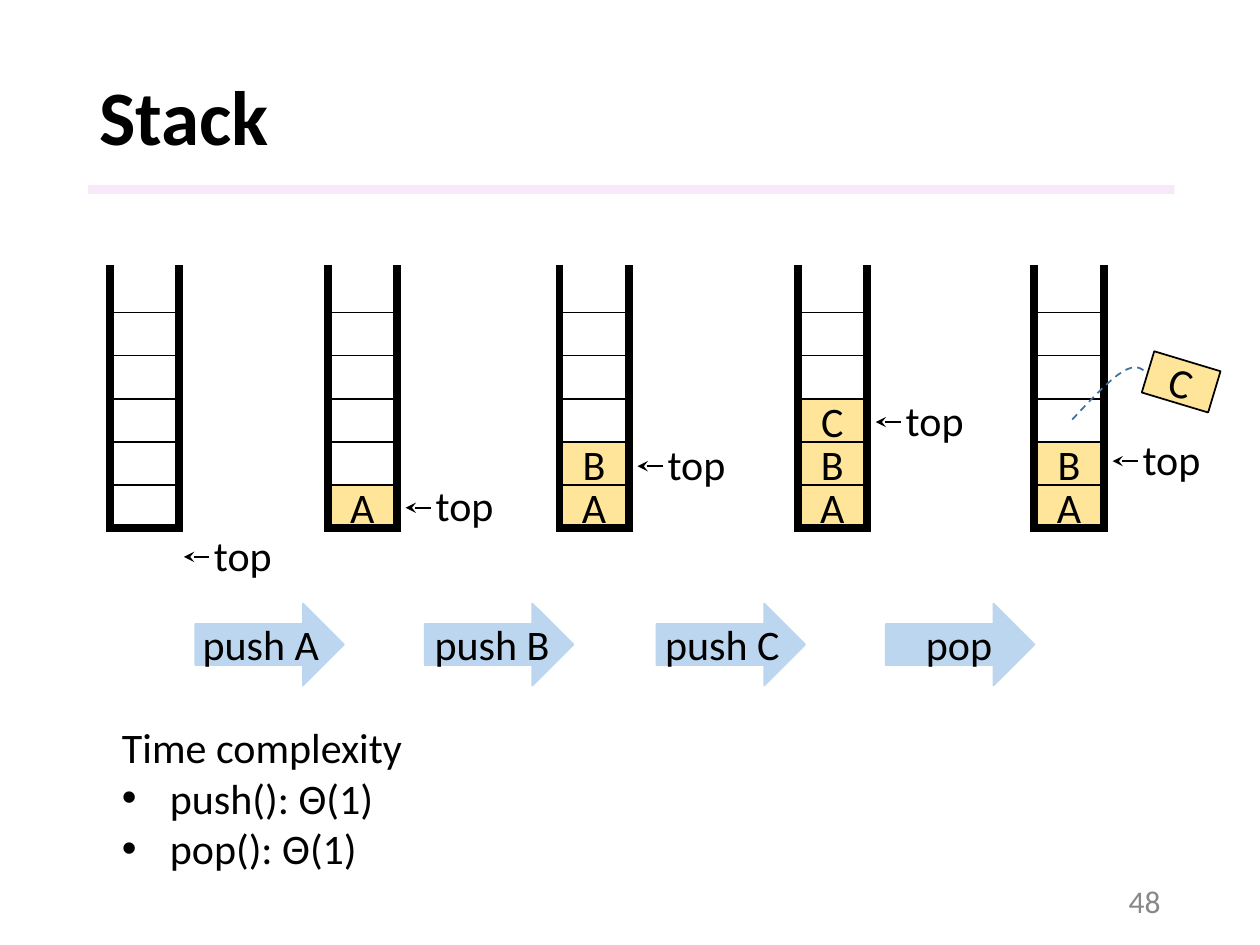
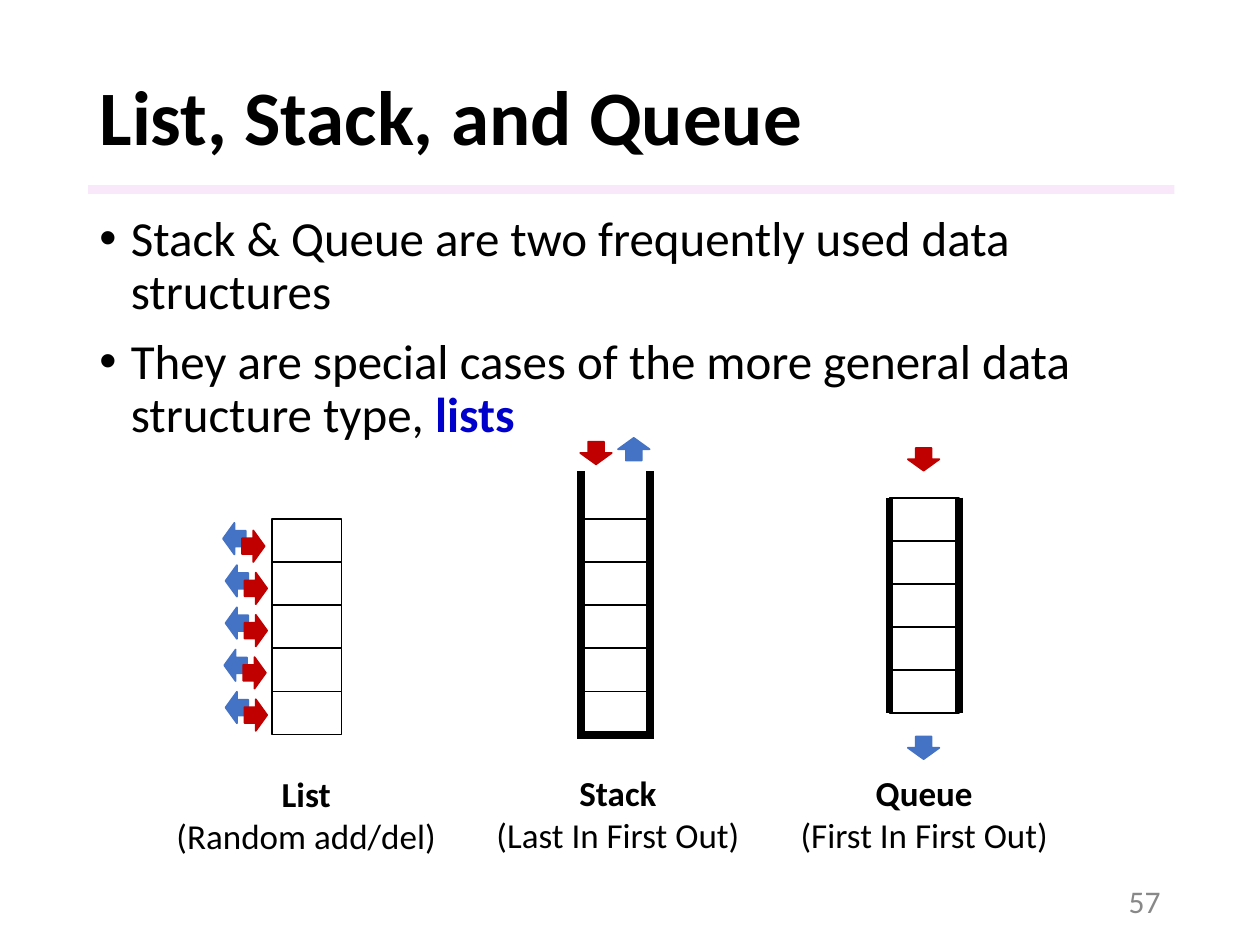
from lxml.etree import SubElement
from pptx import Presentation
from pptx.dml.color import RGBColor
from pptx.enum.dml import MSO_LINE
from pptx.enum.shapes import MSO_CONNECTOR, MSO_SHAPE
from pptx.enum.text import MSO_ANCHOR, PP_ALIGN
from pptx.oxml.ns import qn
from pptx.util import Inches, Pt

BLACK, WHITE, GRAY = "000000", "FFFFFF", "888888"
BAND, GOLD, SKY = "F3D2F4", "FEE599", "BBD6EE"
BLUE, RED, NAVY, STEEL = "4472C4", "C00000", "0000CC", "42719B"

BASE = {"name": "Calibri", "size": Pt(24), "bold": False}
TITLE = {"size": Pt(44), "bold": True}
BODY = {"size": Pt(28)}
NOTE = {"size": Pt(20)}
PAGE = {"size": Pt(18)}
BOLD = {"bold": True}

CELL_W, ROWS, GRID_H = 0.55, 5, 1.71
CELL_H = GRID_H / ROWS
WALL_H = 2.09
WALL_PT = 4.5


def hue(code):
    return RGBColor.from_string(code)


def inches(*nums):
    return [Inches(n) for n in nums]


def apply(target, *formats):
    for values in formats:
        for key, value in values.items():
            setattr(target, key, value)


def write(par, words, *formats, color=BLACK):
    run = par.add_run()
    run.text = words
    apply(run.font, BASE, *formats)
    run.font.color.rgb = hue(color)


def bullet(par, indent):
    props = par._p.get_or_add_pPr()
    props.set("marL", str(Inches(indent)))
    props.set("indent", str(-Inches(indent)))
    SubElement(props, qn("a:buFont")).set("typeface", "Arial")
    SubElement(props, qn("a:buChar")).set("char", "•")


def text(slide, box, lines, *formats, color=BLACK, wrap=False, **par_format):
    """Add a text box with one paragraph a line and return its frame."""
    frame = slide.shapes.add_textbox(*inches(*box)).text_frame
    frame.word_wrap = wrap
    for i, line in enumerate(lines):
        par = frame.add_paragraph() if i else frame.paragraphs[0]
        apply(par, par_format)
        write(par, line, *formats, color=color)
    return frame


def stroke(line, color=BLACK, width=1):
    line.color.rgb = hue(color)
    line.width = Pt(width)


def shape(slide, kind, box, fill, line=None, turn=0):
    item = slide.shapes.add_shape(kind, *inches(*box))
    item.shadow.inherit = False
    item.fill.solid()
    item.fill.fore_color.rgb = hue(fill)
    if line:
        stroke(item.line, line)
    else:
        item.line.fill.background()
    item.rotation = turn
    return item


def cell(slide, left, top, mark="", turn=0):
    item = shape(slide, MSO_SHAPE.RECTANGLE, (left, top, CELL_W, CELL_H),
                 GOLD if mark else WHITE, BLACK, turn)
    if mark:
        frame = item.text_frame
        frame.vertical_anchor = MSO_ANCHOR.MIDDLE
        frame.paragraphs[0].alignment = PP_ALIGN.CENTER
        write(frame.paragraphs[0], mark)


def cells(slide, left, top, marks=""):
    """Draw a column of cells, filled with marks from the bottom up."""
    for row, mark in enumerate(reversed(marks.ljust(ROWS))):
        cell(slide, left, top + row * CELL_H, mark.strip())


def path(slide, points, color, width):
    """Draw an open outline without fill."""
    start, *rest = [inches(*point) for point in points]
    pen = slide.shapes.build_freeform(*start)
    pen.add_line_segments(rest, close=False)
    item = pen.convert_to_shape()
    item.shadow.inherit = False
    item.fill.background()
    stroke(item.line, color, width)
    return item


def stack(slide, left, top, marks=""):
    cells(slide, left, top + WALL_H - GRID_H, marks)
    right, base = left + CELL_W, top + WALL_H
    wall = path(slide, [(left, top), (left, base), (right, base), (right, top)],
                BLACK, WALL_PT)
    SubElement(wall.line._get_or_add_ln(), qn("a:miter")).set("lim", "800000")


def link(slide, start, end, width=1):
    item = slide.shapes.add_connector(MSO_CONNECTOR.STRAIGHT,
                                      *inches(*start, *end))
    stroke(item.line, BLACK, width)
    SubElement(item._element.spPr, qn("a:effectLst"))
    return item


def pointer(slide, x, y):
    """Mark the top of a stack with an arrow to the left."""
    arrow = link(slide, (x + 0.2, y), (x, y))
    tail = SubElement(arrow.line._get_or_add_ln(), qn("a:tailEnd"))
    tail.set("type", "stealth")
    text(slide, (x + 0.14, y - 0.27, 0.66, 0.5), ["top"])


def arrow(slide, left, top, color, turn=0, size=(0.18, 0.25)):
    shape(slide, MSO_SHAPE.RIGHT_ARROW, (left, top, *size), color, color, turn)


def caption(slide, box, name, rule):
    frame = text(slide, box, [name, rule], NOTE, alignment=PP_ALIGN.CENTER)
    frame.paragraphs[0].runs[0].font.bold = True


def curve(slide, start, *bends):
    """Draw a dashed line through cubic bends, each of three points."""
    points, steps = [start], 8
    for bend in bends:
        a, b, c, d = points[-1], *bend
        for step in range(1, steps + 1):
            t = step / steps
            u = 1 - t
            points.append([u**3 * p + 3 * u * u * t * q + 3 * u * t * t * r
                           + t**3 * s for p, q, r, s in zip(a, b, c, d)])
    path(slide, points, STEEL, 1).line.dash_style = MSO_LINE.DASH


def page(deck, name, number):
    """Add a slide with its title, band and page number."""
    slide = deck.slides.add_slide(deck.slide_layouts[5])
    band = shape(slide, MSO_SHAPE.RECTANGLE, (0.7, 1.47, 8.62, 0.07), BAND)
    tint = band._element.spPr.find(".//" + qn("a:srgbClr"))
    SubElement(tint, qn("a:alpha")).set("val", "50000")
    title = slide.shapes.title
    title.left, title.top, title.width, title.height = inches(
        0.69, 0.4, 8.62, 1.11)
    title.text_frame.vertical_anchor = MSO_ANCHOR.MIDDLE
    par = title.text_frame.paragraphs[0]
    apply(par, {"alignment": PP_ALIGN.LEFT, "line_spacing": 0.9})
    write(par, name, TITLE)
    foot = text(slide, (7.06, 6.95, 2.25, 0.4), [number], PAGE, color=GRAY,
                wrap=True, alignment=PP_ALIGN.RIGHT)
    foot.vertical_anchor = MSO_ANCHOR.MIDDLE
    return slide


def stack_page(deck):
    slide = page(deck, "Stack", "48")
    steps = [(1.55, 1.51, 1.13, "push A"), (3.37, 3.35, 1.12, "push B"),
             (5.21, 5.18, 1.12, "push C"), (7.03, 7.25, 0.73, "pop")]
    for left, label, width, name in steps:
        arrow(slide, left, 4.79, SKY, size=(1.18, 0.65))
        text(slide, (label, 4.86, width, 0.5), [name])

    states = [(0.87, "", 1.46, 4.42), (2.6, "A", 3.22, 4.03),
              (4.44, "AB", 5.06, 3.7), (6.33, "ABC", 6.95, 3.35),
              (8.21, "AB", 8.83, 3.66)]
    for left, marks, x, y in states:
        stack(slide, left, 2.1, marks)
        pointer(slide, x, y)

    cell(slide, 9.1, 2.86, "C", 16.8)
    curve(slide, (8.51, 3.33),
          [(8.66, 3.17), (8.81, 3.01), (8.91, 2.95)],
          [(9.01, 2.89), (9.05, 2.92), (9.09, 2.95)])

    costs = text(slide, (0.87, 5.68, 2.44, 1.31),
                 ["Time complexity", "push(): Θ(1)", "pop(): Θ(1)"])
    for par in costs.paragraphs[1:]:
        bullet(par, 0.38)


def types_page(deck):
    slide = page(deck, "List, Stack, and Queue", "57")
    body = text(slide, (0.69, 1.65, 8.62, 2.01), [
        "Stack & Queue are two frequently used data structures",
        "They are special cases of the more general data structure type, ",
    ], BODY, wrap=True, line_spacing=0.9)
    for par in body.paragraphs:
        bullet(par, 0.25)
    last = body.paragraphs[-1]
    last.space_before = Pt(10)
    write(last, "lists", BODY, BOLD, color=NAVY)

    stack(slide, 4.61, 3.74)
    arrow(slide, 4.64, 3.47, RED, 90)
    arrow(slide, 4.94, 3.44, BLUE, 270)
    caption(slide, (3.83, 6.07, 2.15, 0.77), "Stack", "(Last In First Out)")

    left, top = 7.06, 3.95
    cells(slide, left, top)
    for x in (left, left + CELL_W):
        link(slide, (x, top), (x, top + GRID_H), WALL_PT)
    arrow(slide, 7.24, 3.52, RED, 90)
    arrow(slide, 7.24, 5.81, BLUE, 90)
    caption(slide, (6.24, 6.07, 2.19, 0.77), "Queue", "(First In First Out)")

    cells(slide, 2.16, 4.12)
    for row, x in enumerate((1.77, 1.79, 1.79, 1.78, 1.79)):
        y = 4.15 + row * 1.34 / (ROWS - 1)
        arrow(slide, x, y, BLUE, 180)
        arrow(slide, x + 0.15, y + 0.06, RED)
    caption(slide, (1.29, 6.08, 2.28, 0.77), "List", "(Random add/del)")


def main():
    deck = Presentation()
    deck.slide_width, deck.slide_height = inches(10, 7.5)
    stack_page(deck)
    types_page(deck)
    deck.save("out.pptx")


if __name__ == "__main__":
    main()
